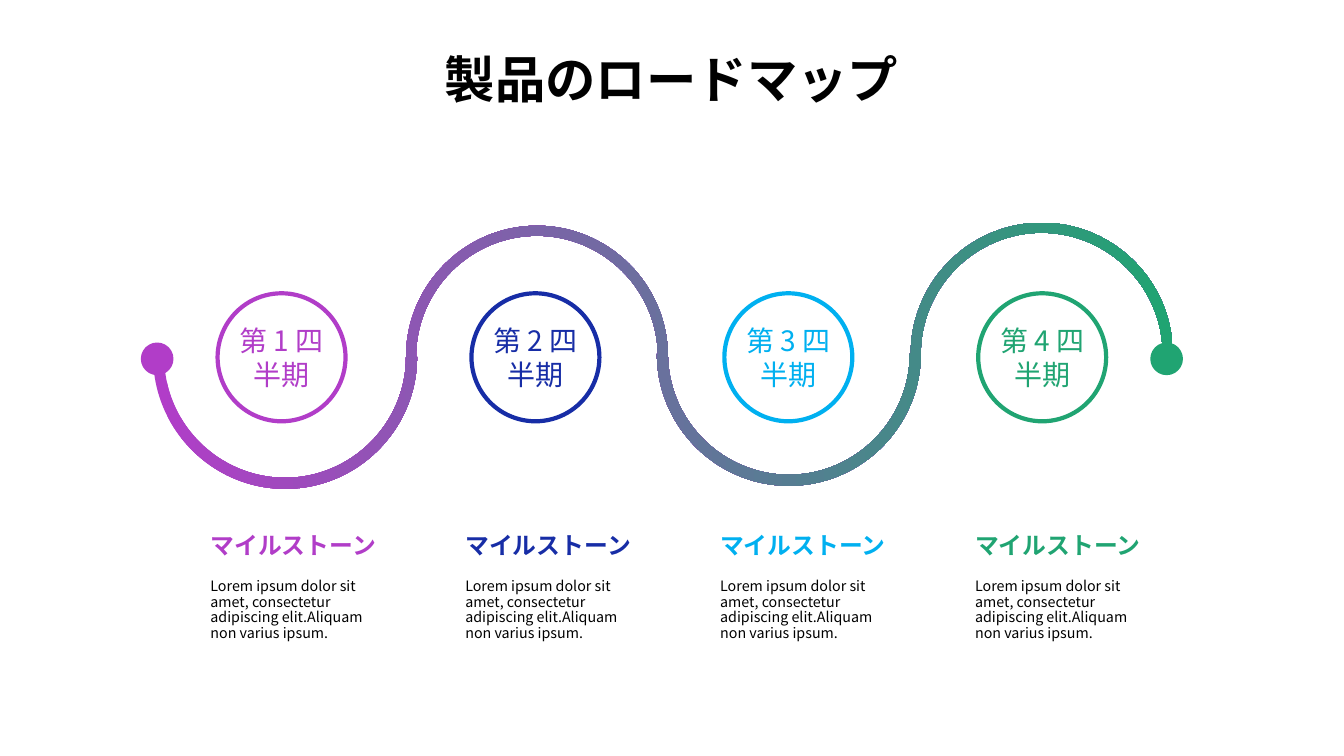
from lxml.etree import SubElement
from pptx import Presentation
from pptx.dml.color import RGBColor
from pptx.enum.shapes import MSO_SHAPE
from pptx.enum.text import MSO_ANCHOR, PP_ALIGN
from pptx.oxml.ns import qn
from pptx.util import Pt

FACE = "Noto Sans CJK JP"
BLACK, WHITE = "000000", "FFFFFF"
HUES = ["B13DC8", "172DA6", "00B0F0", "20A472"]
BODY = "Lorem ipsum dolor sit amet, consectetur adipiscing elit.Aliquam non varius ipsum."
BENDS = [(283, 354), (533, 354), (783, 351), (1034, 351)]
ROUND = 0.55


def px(n):
    return round(n * 9144)


def color(code):
    return RGBColor.from_string(code)


def write(frame, text, size, hue, bold=False, align=PP_ALIGN.LEFT, gap=1.0):
    frame.word_wrap = True
    para = frame.paragraphs[0]
    para.alignment = align
    para.line_spacing = gap
    run = para.add_run()
    run.text = text
    font = run.font
    font.size = Pt(size)
    font.bold = bold
    font.name = FACE
    font.color.rgb = color(hue)
    SubElement(run._r.get_or_add_rPr(), qn("a:ea")).set("typeface", FACE)


def label(slide, box, *args, **style):
    frame = slide.shapes.add_textbox(*map(px, box)).text_frame
    write(frame, *args, **style)


def disc(slide, left, top, size, fill, line, width):
    shape = slide.shapes.add_shape(MSO_SHAPE.OVAL, *map(px, (left, top, size, size)))
    shape.shadow.inherit = False
    shape.fill.solid()
    shape.fill.fore_color.rgb = color(fill)
    shape.line.color.rgb = color(line)
    shape.line.width = Pt(width)
    return shape


def badge(slide, left, text, hue):
    frame = disc(slide, left, 291, 127, WHITE, hue, 3).text_frame
    frame.margin_left = frame.margin_right = 0
    frame.margin_top = frame.margin_bottom = px(5)
    frame.vertical_anchor = MSO_ANCHOR.MIDDLE
    write(frame, text, 20, hue, align=PP_ALIGN.CENTER)


def edge(low, high):
    points = []
    for i, (x, y) in enumerate(BENDS):
        radius, sign = (high, -1) if i % 2 else (low, 1)
        points += [(x - radius, y), (x, y + sign * radius), (x + radius, y)]
    return [(px(x), px(y)) for x, y in points]


def bend(shape, points):
    steps = list(shape._element.iter(qn("a:lnTo")))
    for n, step in enumerate(steps, 1):
        if n % 3 == 0:
            continue
        (ax, ay), (bx, by) = points[n - 1], points[n]
        dx, dy = ROUND * (bx - ax), ROUND * (by - ay)
        if n % 3 == 1:
            guides = [(ax, ay + dy), (bx - dx, by)]
        else:
            guides = [(ax + dx, ay), (bx, by - dy)]
        step.tag = qn("a:cubicBezTo")
        for spot, (x, y) in enumerate(guides):
            pt = SubElement(step, qn("a:pt"))
            pt.set("x", str(round(x - shape.left)))
            pt.set("y", str(round(y - shape.top)))
            step.insert(spot, pt)


def wave(slide):
    points = edge(131, 120) + edge(120, 130)[::-1]
    pen = slide.shapes.build_freeform(*points[0], scale=1.0)
    pen.add_line_segments(points[1:], close=True)
    shape = pen.convert_to_shape()
    bend(shape, points)
    shape.shadow.inherit = False
    shape.line.fill.background()
    shape.fill.gradient()
    shape.fill.gradient_angle = 0
    for stop, hue, place in zip(shape.fill.gradient_stops, (HUES[0], HUES[-1]), (0, 1)):
        stop.color.rgb = color(hue)
        stop.position = place


def main():
    deck = Presentation()
    deck.slide_width, deck.slide_height = px(1334), px(750)
    slide = deck.slides.add_slide(deck.slide_layouts[6])

    for i, hue in enumerate(HUES):
        badge(slide, round(216 + 755 * i / 3), f"第 {i + 1} 四半期", hue)
    wave(slide)
    for left, hue in ((144, HUES[0]), (1146, HUES[-1])):
        disc(slide, left, 344, 24, hue, hue, 6)

    for i, hue in enumerate(HUES):
        left = 199 + 253 * i
        label(slide, (left, 527, 197, 33), "マイルストーン", 17, hue, bold=True, gap=0.8)
        label(slide, (left, 570, 198, 77), BODY, 10.2, BLACK, gap=0.9)
    label(slide, (25, 50, 1283, 69), "製品のロードマップ", 36, BLACK,
          bold=True, align=PP_ALIGN.CENTER, gap=0.9)

    deck.save("out.pptx")


if __name__ == "__main__":
    main()
